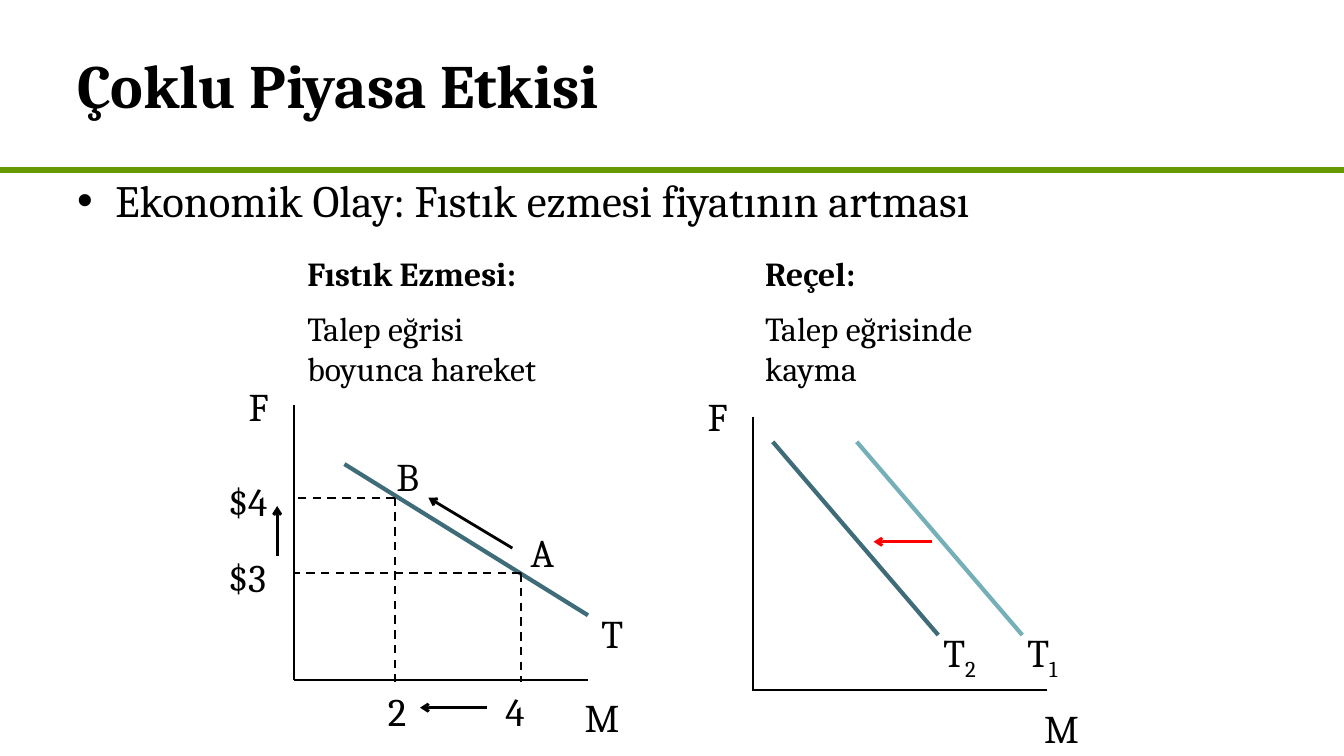
from dataclasses import dataclass
from lxml.etree import SubElement
from pptx import Presentation
from pptx.dml.color import RGBColor
from pptx.enum.dml import MSO_LINE
from pptx.enum.shapes import MSO_CONNECTOR
from pptx.enum.text import MSO_ANCHOR, PP_ALIGN
from pptx.oxml.ns import qn
from pptx.util import Inches, Pt

BLACK = RGBColor(0x00, 0x00, 0x00)
GREEN = RGBColor(0x66, 0x99, 0x00)
TEAL = RGBColor(0x3F, 0x6C, 0x79)
LIGHT_TEAL = RGBColor(0x75, 0xAF, 0xB7)
RED = RGBColor(0xFF, 0x00, 0x00)
FONT = "Cambria"
COLS, ROWS = 160, 90
TIGHT, NORMAL = (0.05, 0.02), (0.1, 0.05)

prs = Presentation()
prs.slide_width, prs.slide_height = Inches(13.333), Inches(7.5)
slide = prs.slides.add_slide(prs.slide_layouts[5])


@dataclass
class Line:
    x1: float
    y1: float
    x2: float
    y2: float
    color: RGBColor = BLACK
    width: float = 1.5
    dashed: bool = False
    arrow: bool = False


@dataclass
class Label:
    text: str
    x: float
    y: float
    w: float = 5.25
    h: float = 5
    sub: str = ""
    inset: tuple[float, float] = TIGHT


@dataclass
class Caption:
    heading: str
    body: str
    x: float
    h: float


def col(n: float) -> int:
    return round(prs.slide_width * n / COLS)


def row(n: float) -> int:
    return round(prs.slide_height * n / ROWS)


def draw_line(line: Line) -> None:
    sp = slide.shapes.add_connector(MSO_CONNECTOR.STRAIGHT, col(line.x1), row(line.y1),
                                    col(line.x2), row(line.y2))
    sp.line.color.rgb = line.color
    sp.line.width = Pt(line.width)
    if line.dashed:
        sp.line.dash_style = MSO_LINE.DASH
    if line.arrow:
        SubElement(sp.line._get_or_add_ln(), qn("a:tailEnd"), type="arrow")
    SubElement(sp._element.spPr, qn("a:effectLst"))


def add_box(x: float, y: float, w: float, h: float, inset=TIGHT, wrap=True):
    tf = slide.shapes.add_textbox(col(x), row(y), col(w), row(h)).text_frame
    tf.word_wrap = wrap
    tf.margin_left = tf.margin_right = Inches(inset[0])
    tf.margin_top = tf.margin_bottom = Inches(inset[1])
    return tf


def add_run(p, text: str, *, size: float, bold=False, baseline=0) -> None:
    r = p.add_run()
    r.text = text
    r.font.name, r.font.size, r.font.bold = FONT, Pt(size), bold
    r.font.color.rgb = BLACK
    if baseline:
        r.font._element.set("baseline", str(baseline * 1000))


def draw_label(label: Label) -> None:
    tf = add_box(label.x, label.y, label.w, label.h, label.inset, wrap=False)
    p = tf.paragraphs[0]
    p.alignment = PP_ALIGN.LEFT
    add_run(p, label.text, size=28)
    if label.sub:
        add_run(p, label.sub, size=28, baseline=-25)


def draw_caption(caption: Caption) -> None:
    tf = add_box(caption.x, 29.9, 34, caption.h)
    for p, text, bold in ((tf.paragraphs[0], caption.heading, True),
                          (tf.add_paragraph(), caption.body, False)):
        p.space_after = Pt(10)
        add_run(p, text, size=24, bold=bold)


# Title and rule
draw_line(Line(0, 20.25, COLS, 20.25, GREEN, 4.5))
title = slide.shapes.title
title.left, title.top, title.width, title.height = col(8), 0, col(144), row(20)
tf = title.text_frame
tf.vertical_anchor = MSO_ANCHOR.MIDDLE
tf.paragraphs[0].alignment = PP_ALIGN.LEFT
add_run(tf.paragraphs[0], "Çoklu Piyasa Etkisi", size=44, bold=True)

# Bullet
p = add_box(8, 20, 144, 8, NORMAL).paragraphs[0]
pPr = p._p.get_or_add_pPr()
pPr.set("marL", str(Inches(0.38)))
pPr.set("indent", str(-Inches(0.38)))
SubElement(pPr, qn("a:buFont"), typeface="Arial")
SubElement(pPr, qn("a:buChar"), char="•")
add_run(p, "Ekonomik Olay: Fıstık ezmesi fiyatının artması", size=32)

# Captions over the two charts
for caption in (Caption("Fıstık Ezmesi:", "Talep eğrisi boyunca hareket", 36, 17),
                Caption("Reçel:", "Talep eğrisinde kayma", 90.5, 13)):
    draw_caption(caption)

# Peanut butter: movement along the demand curve
AXIS_X, AXIS_Y = 35, 81
lines = [
    Line(AXIS_X, 48.25, AXIS_X, AXIS_Y),
    Line(70, AXIS_Y, AXIS_X, AXIS_Y),
    Line(41, 55.25, 70, 73.25, TEAL, 3),
    Line(33, 66.25, 33, 60.25, width=2, arrow=True),
    Line(58, 84.25, 50, 84.25, width=2, arrow=True),
    Line(61, 65.25, 51, 59.25, width=2, arrow=True),
]
for x, y in ((47, 59.25), (62, 68.25)):
    lines += [Line(x, y, AXIS_X, y, dashed=True), Line(x, y, x, 81.25, dashed=True)]
labels = [
    Label("F", 29, 45.25),
    Label("$4", 26, 56.25, 8, 7, inset=NORMAL),
    Label("$3", 26, 65.25, 8, 7, inset=NORMAL),
    Label("2", 45, 81.25, 9, 7, inset=NORMAL),
    Label("4", 59, 81.25, 6, 7, inset=NORMAL),
    Label("A", 62, 62.25, 7, 7, inset=NORMAL),
    Label("B", 46, 53.25, 6, 7, inset=NORMAL),
    Label("T", 71, 72.25),
    Label("M", 69, 82.25),
]

# Jam: shift of the demand curve
lines += [
    Line(89.65, 49.6, 89.65, 82.3),
    Line(124.65, 82.1, 89.65, 82.1),
    Line(111, 64.5, 104, 64.5, RED, 2, arrow=True),
]
labels += [Label("F", 83.65, 46.5), Label("M", 123.7, 83.65)]
for x, sub, color in ((102, "1", LIGHT_TEAL), (92, "2", TEAL)):
    lines.append(Line(x, 52.6, x + 19.7, 75.6, color, 3))
    labels.append(Label("T", x + 19.7, 74.6, 7.3, 7, sub))

for line in lines:
    draw_line(line)
for label in labels:
    draw_label(label)

prs.save("out.pptx")
